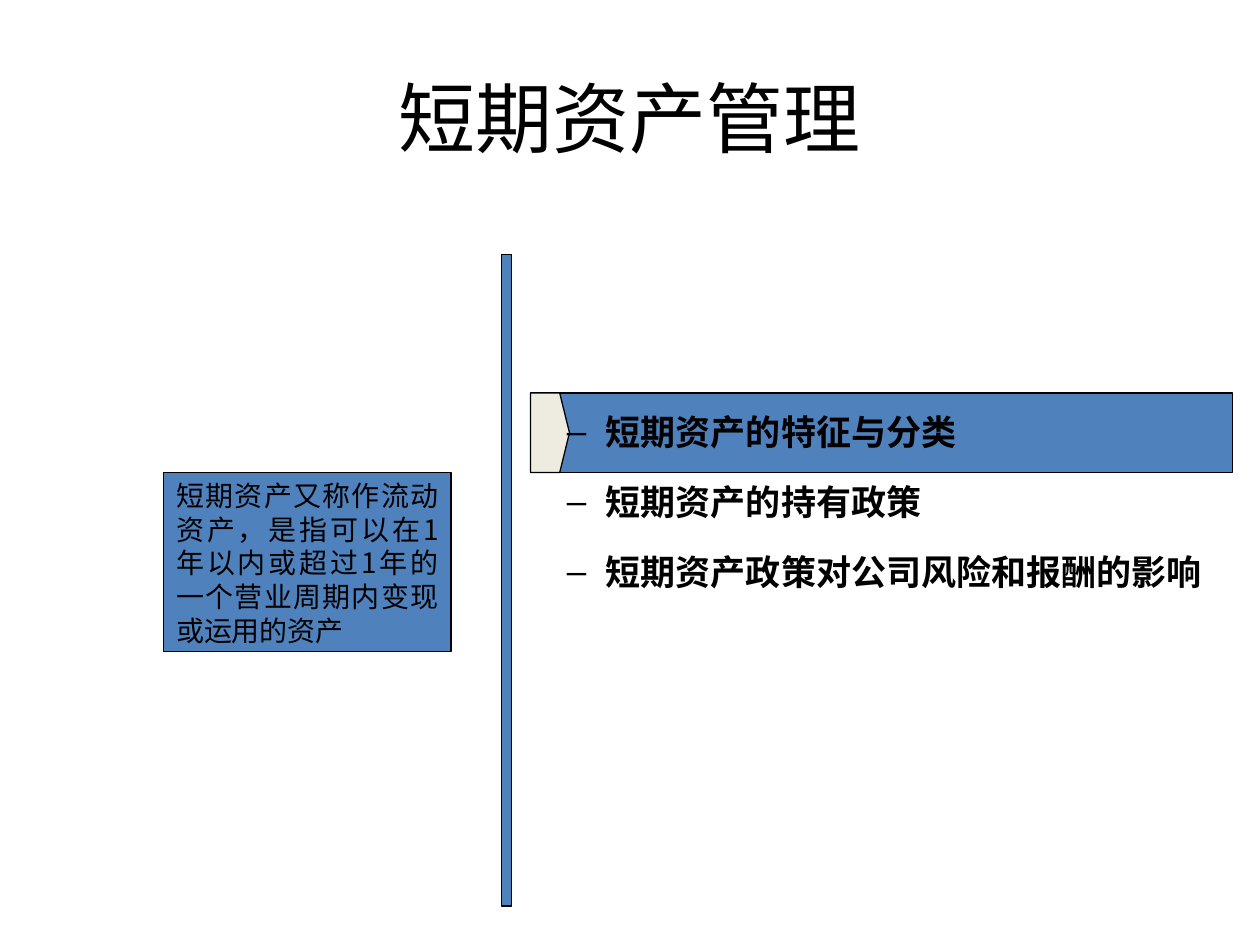
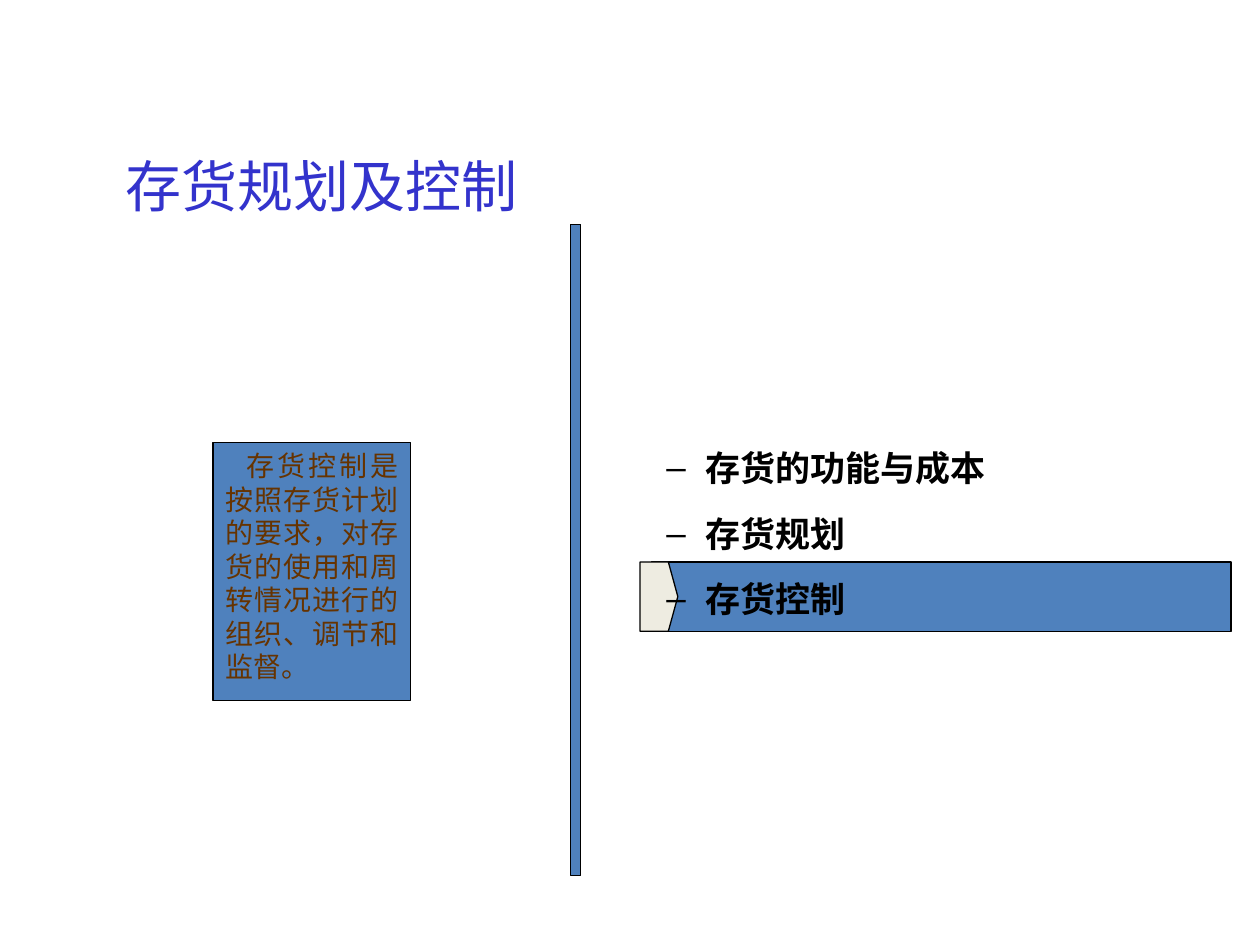
from pptx import Presentation
from pptx.dml.color import RGBColor
from pptx.enum.shapes import MSO_SHAPE as SHAPE
from pptx.enum.text import MSO_ANCHOR as ANCHOR, PP_ALIGN as ALIGN
from pptx.oxml.ns import qn
from pptx.util import Inches, Pt
from lxml import etree

BLUE, CREAM, BLACK = "4F81BD", "EEECE1", "000000"
BROWN, VIOLET = "663300", "3333CC"
BODY_FONT, TITLE_FONT = "Noto Sans CJK SC", "Calibri"


def color(value):
    return RGBColor.from_string(value)


def add_block(s, box, fill=BLUE, shape=SHAPE.RECTANGLE):
    sp = s.shapes.add_shape(shape, *map(Inches, box))
    sp.shadow.inherit = False
    sp.fill.solid()
    sp.fill.fore_color.rgb = color(fill)
    sp.line.color.rgb = color(BLACK)
    sp.line.width = Pt(0.75)
    return sp


def add_text_box(s, box):
    return s.shapes.add_textbox(*map(Inches, box))


def write(sp, texts, size=16, font=BODY_FONT, ink=BLACK, bold=False,
          align=ALIGN.LEFT, anchor=ANCHOR.TOP, leading=None, before=0,
          margin=0, indent=0, bullet=None):
    tf = sp.text_frame
    tf.word_wrap = True
    tf.vertical_anchor = anchor
    for i, text in enumerate(texts):
        p = tf.paragraphs[0] if i == 0 else tf.add_paragraph()
        p.alignment = align
        p.space_before = Pt(before if i else 0)
        if leading:
            p.line_spacing = Pt(leading)
        pPr = p._p.get_or_add_pPr()
        pPr.set("marL", str(Inches(margin)))
        pPr.set("indent", str(Inches(indent)))
        if bullet:
            etree.SubElement(pPr, qn("a:buFont")).set("typeface", "Arial")
            etree.SubElement(pPr, qn("a:buChar")).set("char", bullet)
        r = p.add_run()
        r.text = text
        r.font.size = Pt(size)
        r.font.name = font
        r.font.bold = bold
        r.font.color.rgb = color(ink)
        if font == BODY_FONT:
            etree.SubElement(r._r.get_or_add_rPr(), qn("a:ea")).set("typeface", font)


def add_title(s, box, text, **style):
    write(add_text_box(s, box), [text], font=TITLE_FONT, **style)


def add_highlight(s, box, tag_left, tag_width):
    left, top, width, height = box
    add_block(s, box)
    tag = add_block(s, (tag_left, top, tag_width, height), CREAM, SHAPE.PENTAGON)
    tag.adjustments[0] = 0.25


def add_topics(s, box, topics, leading):
    write(add_text_box(s, box), topics, size=20, bold=True, leading=leading,
          before=4, margin=0.81, indent=-0.31, bullet="–")


def add_divider(s, left, top):
    add_block(s, (left, top, 0.08, 5.17))


def add_note(s, box, text, **style):
    write(add_block(s, box), [text], align=ALIGN.JUSTIFY, leading=19.2, **style)


def build_asset_slide(s):
    add_highlight(s, (4.21, 3.12, 5.57, 0.63), 4.21, 0.31)
    add_topics(s, (3.9, 3.04, 6.1, 4.46),
               ["短期资产的特征与分类", "短期资产的持有政策",
                "短期资产政策对公司风险和报酬的影响"], leading=36)
    add_divider(s, 3.98, 2.02)
    add_note(s, (1.3, 3.75, 2.28, 1.42),
             "短期资产又称作流动资产，是指可以在1年以内或超过1年的一个营业周期内变现或运用的资产")
    add_title(s, (0.5, 0.3, 9, 1.25), "短期资产管理", size=44,
              align=ALIGN.CENTER, anchor=ANCHOR.MIDDLE)


def build_inventory_slide(s):
    add_highlight(s, (5.17, 4.46, 4.6, 0.55), 5.08, 0.3)
    add_topics(s, (4.69, 3.36, 4.66, 3.34),
               ["存货的功能与成本", "存货规划", "存货控制"], leading=33.6)
    add_divider(s, 4.53, 1.78)
    add_note(s, (1.69, 3.51, 1.57, 2.05),
             "存货控制是按照存货计划的要求，对存货的使用和周转情况进行的组织、调节和监督。",
             ink=BROWN, indent=0.17)
    add_title(s, (0.9, 1.15, 3.39, 0.63), "存货规划及控制", size=32, ink=VIOLET)


def main():
    prs = Presentation()
    prs.slide_width, prs.slide_height = Inches(10), Inches(7.5)
    for build in (build_asset_slide, build_inventory_slide):
        build(prs.slides.add_slide(prs.slide_layouts[6]))
    prs.save("out.pptx")


if __name__ == "__main__":
    main()
